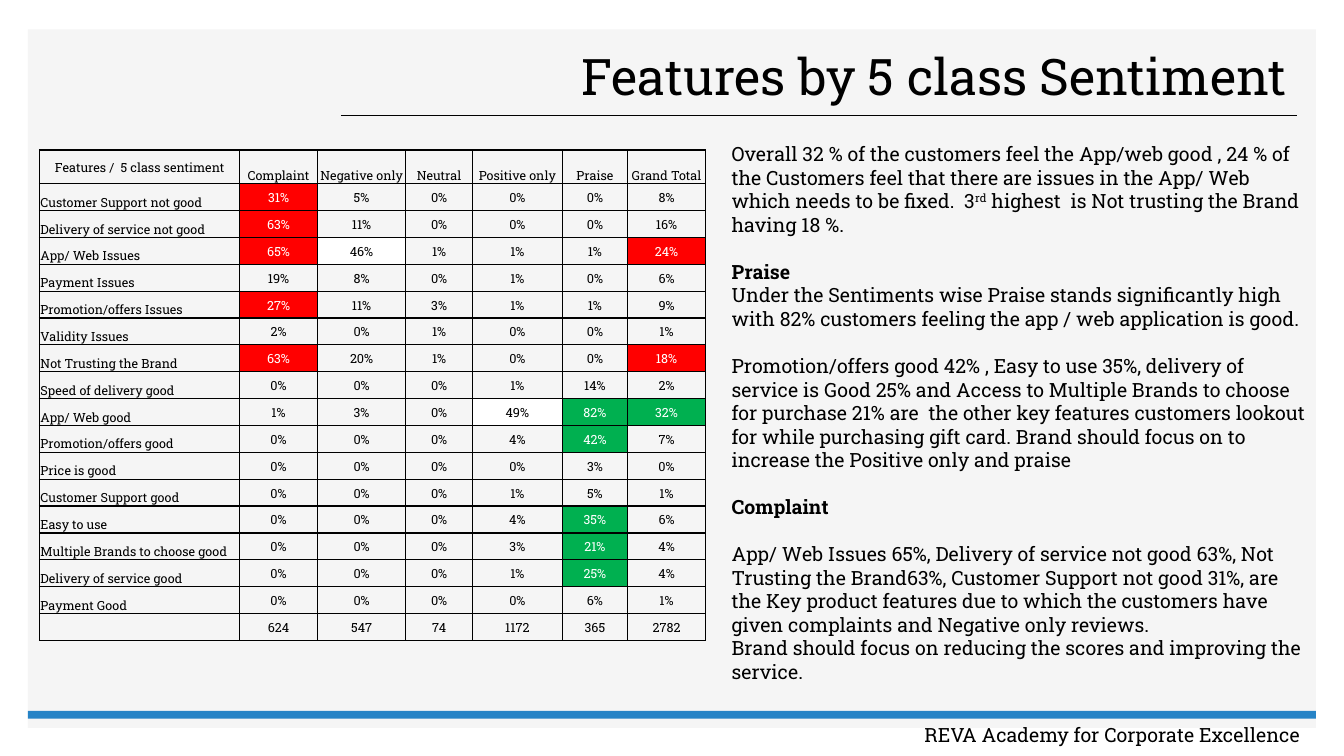
from lxml.etree import SubElement
from pptx import Presentation
from pptx.dml.color import RGBColor
from pptx.enum.shapes import MSO_CONNECTOR, MSO_SHAPE
from pptx.enum.text import MSO_ANCHOR, MSO_AUTO_SIZE, PP_ALIGN
from pptx.oxml.ns import qn
from pptx.util import Pt

COLORS = {"black": "000000", "white": "FFFFFF", "panel": "F5F5F5",
          "blue": "2683C6", "red": "FF0000", "green": "00B050"}

# Letter after a value: cell fill and text colour
MARKS = {"r": ("red", "white"), "g": ("green", "white"), "w": ("white", "black")}

HEADS = ["Features /  5 class sentiment", "Complaint", "Negative only", "Neutral",
         "Positive only", "Praise", "Grand Total"]
SHARES = [
    ("Customer Support not good", "31%r 5% 0% 0% 0% 8%"),
    ("Delivery of service not good", "63%r 11% 0% 0% 0% 16%"),
    ("App/ Web Issues", "65%r 46%w 1% 1% 1% 24%r"),
    ("Payment Issues", "19% 8% 0% 1% 0% 6%"),
    ("Promotion/offers Issues", "27%r 11% 3% 1% 1% 9%"),
    ("Validity Issues", "2% 0% 1% 0% 0% 1%"),
    ("Not Trusting the Brand", "63%r 20% 1% 0% 0% 18%r"),
    ("Speed of delivery good", "0% 0% 0% 1% 14% 2%"),
    ("App/ Web good", "1% 3% 0% 49%w 82%g 32%g"),
    ("Promotion/offers good", "0% 0% 0% 4% 42%g 7%"),
    ("Price is good", "0% 0% 0% 0% 3% 0%"),
    ("Customer Support good", "0% 0% 0% 1% 5% 1%"),
    ("Easy to use", "0% 0% 0% 4% 35%g 6%"),
    ("Multiple Brands to choose good", "0% 0% 0% 3% 21%g 4%"),
    ("Delivery of service good", "0% 0% 0% 1% 25%g 4%"),
    ("Payment Good", "0% 0% 0% 0% 6% 1%"),
    ("", "624 547 74 1172 365 2782"),
]
WIDTHS = [143, 55.6, 63, 47.8, 64, 46.8, 55.6]
HEAD_H, ROW_H = 24, 19.2

# Space before, bold, text; carets enclose superscript
NOTES = [
    (0, False, "Overall 32 % of the customers feel the App/web good , 24 % of the Customers "
     "feel that there are issues in the App/ Web which needs to be fixed.  3^rd^ highest  "
     "is Not trusting the Brand  having 18 %."),
    (16.8, True, "Praise"),
    (0, False, "Under the Sentiments wise Praise stands significantly high with 82% "
     "customers feeling the app / web application is good."),
    (16.8, False, "Promotion/offers good 42% , Easy to use 35%, delivery of service is Good "
     "25% and Access to Multiple Brands to choose for purchase 21% are  the other key "
     "features customers lookout for while purchasing gift card. Brand should focus on to "
     "increase the Positive only and praise"),
    (16.8, True, "Complaint"),
    (16.8, False, "App/ Web Issues 65%, Delivery of service not good 63%, Not Trusting the "
     "Brand63%, Customer Support not good 31%, are the Key product features due to which "
     "the customers have given complaints and Negative only reviews."),
    (0, False, "Brand should focus on reducing the scores and improving the service."),
]


def tint(name):
    return RGBColor.from_string(COLORS[name])


class Page:
    face = "Roboto Slab"

    def __init__(self, deck):
        self.slide = deck.slides.add_slide(deck.slide_layouts[5])
        self.shapes = self.slide.shapes

    def style(self, para, size, color="black", bold=False, align=PP_ALIGN.LEFT):
        para.alignment = align
        for run in para.runs:
            font = run.font
            font.name, font.size, font.bold = self.face, Pt(size), bold
            font.color.rgb = tint(color)

    def rect(self, x, y, w, h, color):
        box = self.shapes.add_shape(MSO_SHAPE.RECTANGLE, Pt(x), Pt(y), Pt(w), Pt(h))
        box.shadow.inherit = False
        box.fill.solid()
        box.fill.fore_color.rgb = tint(color)
        box.line.fill.background()

    def rule(self, x, y, end):
        line = self.shapes.add_connector(MSO_CONNECTOR.STRAIGHT, Pt(x), Pt(y), Pt(end), Pt(y))
        line.line.color.rgb = tint("black")
        line.line.width = Pt(1)
        SubElement(line._element.spPr, qn("a:effectLst"))

    def title(self, text, x, y, w, h):
        box = self.shapes.title
        box.left, box.top, box.width, box.height = Pt(x), Pt(y), Pt(w), Pt(h)
        frame = box.text_frame
        frame.text = text
        frame.auto_size = MSO_AUTO_SIZE.NONE
        frame.vertical_anchor = MSO_ANCHOR.MIDDLE
        frame.paragraphs[0].line_spacing = 0.9
        self.style(frame.paragraphs[0], 36, align=PP_ALIGN.RIGHT)
        # Bring the title in front of the panel
        self.shapes._spTree.append(box._element)

    def text(self, notes, x, y, w, h, align=PP_ALIGN.LEFT):
        frame = self.shapes.add_textbox(Pt(x), Pt(y), Pt(w), Pt(h)).text_frame
        frame.word_wrap = True
        for i, (gap, bold, words) in enumerate(notes):
            para = frame.add_paragraph() if i else frame.paragraphs[0]
            para.space_before = Pt(gap)
            for j, part in enumerate(words.split("^")):
                run = para.add_run()
                run.text = part
                if j % 2:
                    run._r.get_or_add_rPr().set("baseline", "30000")
            self.style(para, 14, bold=bold, align=align)

    def cell(self, cell, text, anchor, align, fill=None, color="black"):
        cell.margin_left = cell.margin_right = cell.margin_top = Pt(0.72)
        cell.margin_bottom = 0
        cell.vertical_anchor = anchor
        para = cell.text_frame.paragraphs[0]
        para.text = text
        self.style(para, 9, color, align=align)
        SubElement(para._p, qn("a:endParaRPr"), sz="900")
        props = cell._tc.get_or_add_tcPr()
        for side in "LRTB":
            edge = SubElement(props, qn(f"a:ln{side}"), w=str(Pt(1)))
            SubElement(SubElement(edge, qn("a:solidFill")), qn("a:srgbClr"),
                       val=COLORS["black"])
        if fill:
            cell.fill.solid()
            cell.fill.fore_color.rgb = tint(fill)
        else:
            cell.fill.background()

    def table(self, x, y):
        high = HEAD_H + ROW_H * len(SHARES)
        grid = self.shapes.add_table(len(SHARES) + 1, len(HEADS), Pt(x), Pt(y),
                                     Pt(sum(WIDTHS)), Pt(high)).table
        grid.first_row = grid.horz_banding = False
        for col, wide in zip(grid.columns, WIDTHS):
            col.width = Pt(wide)
        for i, row in enumerate(grid.rows):
            row.height = Pt(ROW_H if i else HEAD_H)
        mid, low = MSO_ANCHOR.MIDDLE, MSO_ANCHOR.BOTTOM
        for c, head in enumerate(HEADS):
            self.cell(grid.cell(0, c), head, low if c else mid, PP_ALIGN.CENTER)
        for r, (label, values) in enumerate(SHARES, 1):
            self.cell(grid.cell(r, 0), label, low, PP_ALIGN.LEFT)
            for c, value in enumerate(values.split(), 1):
                fill, color = MARKS.get(value[-1], (None, "black"))
                self.cell(grid.cell(r, c), value.rstrip("rgw"), mid, PP_ALIGN.CENTER,
                          fill, color)


def main():
    deck = Presentation()
    deck.slide_width, deck.slide_height = Pt(960), Pt(540)
    page = Page(deck)
    page.rect(20, 21, 920, 499, "panel")
    page.rule(243.5, 82.5, 926.5)
    page.rect(20, 507.8, 920, 5.5, "blue")
    page.text([(0, False, "REVA Academy for Corporate Excellence ")],
              563, 512.8, 376.5, 24.5, PP_ALIGN.RIGHT)
    page.title("Features by 5 class Sentiment", 266.5, 30, 660, 52.5)
    page.table(28.2, 107.2)
    page.text(NOTES, 515.5, 98, 427, 431)
    deck.save("out.pptx")


if __name__ == "__main__":
    main()
